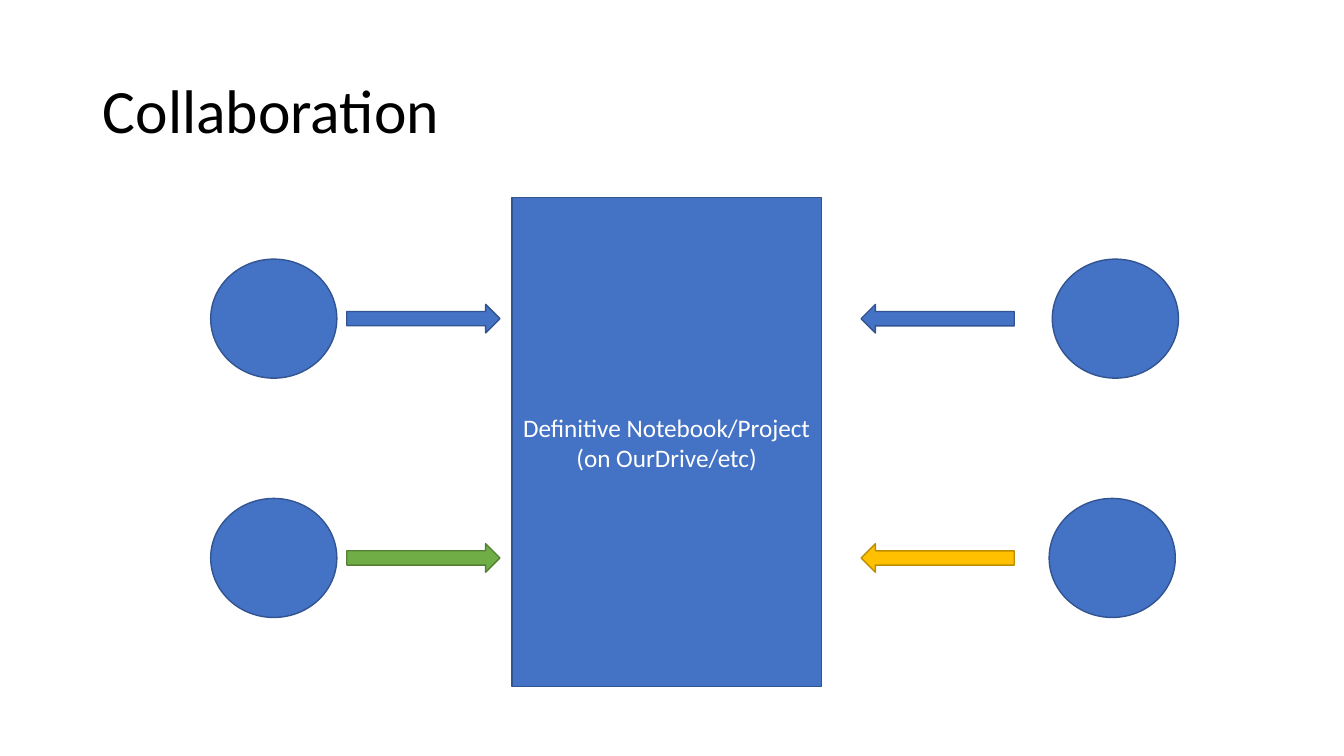
from pptx import Presentation
from pptx import util as u
from pptx.dml.color import RGBColor
from pptx.enum import shapes, text

SHAPE = shapes.MSO_SHAPE
BLUE = ("4472C4", "325491")
GREEN = ("70AD47", "538035")
GOLD = ("FFC000", "BD8E00")


def rgb(value):
    return RGBColor.from_string(value)


class Deck:
    font = "Calibri"

    def __init__(self, width, height):
        self.prs = Presentation()
        self.prs.slide_width = u.Cm(width)
        self.prs.slide_height = u.Cm(height)
        self.s = self.prs.slides.add_slide(self.prs.slide_layouts[5])

    def set_text(self, sp, lines, size, color, align):
        tf = sp.text_frame
        tf.text = "\n".join(lines)
        tf.word_wrap = True
        tf.auto_size = text.MSO_AUTO_SIZE.NONE
        tf.vertical_anchor = text.MSO_ANCHOR.MIDDLE
        for p in tf.paragraphs:
            p.alignment = align
            p.font.name = self.font
            p.font.size = u.Pt(size)
            p.font.color.rgb = rgb(color)

    def title(self, words, *box):
        sp = self.s.shapes.title
        sp.left, sp.top, sp.width, sp.height = map(u.Cm, box)
        self.set_text(sp, [words], 44, "000000", text.PP_ALIGN.LEFT)
        sp.text_frame.paragraphs[0].line_spacing = 0.9

    def shape(self, kind, colors, *box):
        sp = self.s.shapes.add_shape(kind, *map(u.Cm, box))
        fill, line = colors
        sp.shadow.inherit = False
        sp.fill.solid()
        sp.fill.fore_color.rgb = rgb(fill)
        sp.line.color.rgb = rgb(line)
        sp.line.width = u.Pt(1)
        return sp

    def block(self, lines, *box):
        sp = self.shape(SHAPE.RECTANGLE, BLUE, *box)
        self.set_text(sp, lines, 18, "FFFFFF", text.PP_ALIGN.CENTER)

    def person(self, left, top):
        self.shape(SHAPE.OVAL, BLUE, left, top, 3.18, 3)

    def arrow(self, colors, left, top, rotation):
        sp = self.shape(SHAPE.RIGHT_ARROW, colors, left, top, 3.86, 0.72)
        sp.rotation = rotation


def main():
    deck = Deck(33.87, 19.05)
    deck.title("Collaboration", 2.34, 1.02, 29.21, 3.68)
    deck.block(["Definitive Notebook/Project", "(on OurDrive/etc)"],
               12.9, 4.98, 7.8, 12.32)

    rows = [
        (6.53, 26.52, BLUE, BLUE),
        (12.56, 26.44, GREEN, GOLD),
    ]
    for top, right_person, left_colors, right_colors in rows:
        arrow_top = top + 1.14
        deck.person(5.31, top)
        deck.person(right_person, top)
        deck.arrow(left_colors, 8.74, arrow_top, 0)
        deck.arrow(right_colors, 21.7, arrow_top, 180)

    deck.prs.save("out.pptx")


if __name__ == "__main__":
    main()
